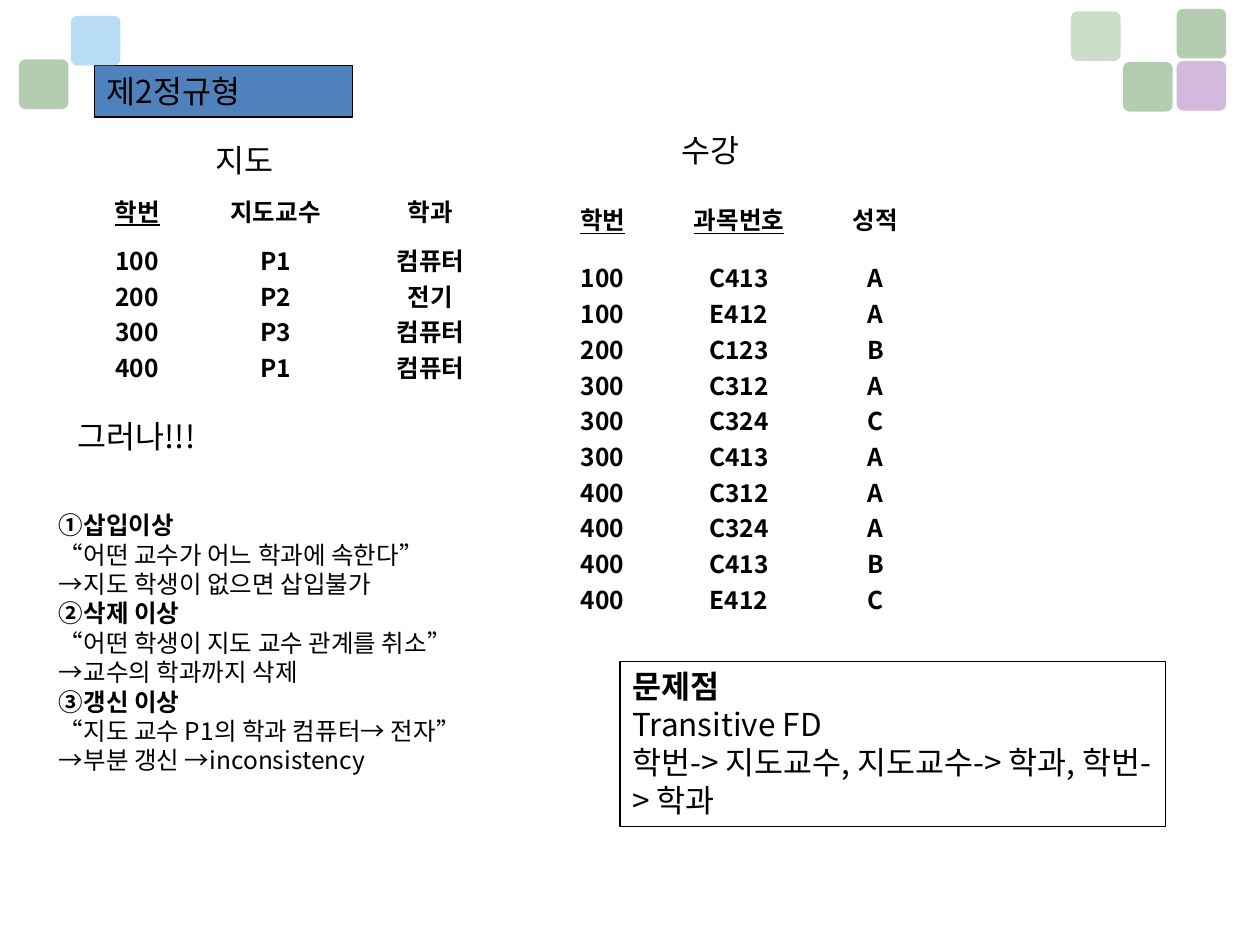
from lxml import etree
from pptx import Presentation
from pptx import util as u
from pptx.dml.color import RGBColor
from pptx.enum import shapes, text
from pptx.oxml import ns

BLACK = RGBColor(0x00, 0x00, 0x00)
BLUE = RGBColor(0x4F, 0x81, 0xBD)
SKY = RGBColor(0xA1, 0xD1, 0xF1)
GREEN = RGBColor(0x9B, 0xBD, 0x98)
PURPLE = RGBColor(0xC4, 0xA2, 0xD2)
KOREAN = "Noto Sans CJK KR"
LATIN = "Arial"
TILE_SIZE = u.Cm(1)

TILES = [
    (23.72, 1.23, PURPLE, 75),
    (23.72, 0.18, GREEN, 75),
    (22.64, 1.25, GREEN, 75),
    (21.59, 0.23, GREEN, 51),
    (1.43, 0.32, SKY, 75),
    (0.38, 1.2, GREEN, 75),
]
ADVISING = [
    ("학번", "100 200 300 400"),
    ("지도교수", "P1 P2 P3 P1"),
    ("학과", "컴퓨터 전기 컴퓨터 컴퓨터"),
]
ENROLMENT = [
    ("학번", "100 100 200 300 300 300 400 400 400 400"),
    ("과목번호", "C413 E412 C123 C312 C324 C413 C312 C324 C413 E412"),
    ("성적", "A A B A C A A A B C"),
]
ANOMALIES = [
    ("①삽입이상", "어떤 교수가 어느 학과에 속한다", "→지도 학생이 없으면 삽입불가"),
    ("②삭제 이상", "어떤 학생이 지도 교수 관계를 취소", "→교수의 학과까지 삭제"),
    ("③갱신 이상", "지도 교수 P1의 학과 컴퓨터→ 전자", "→부분 갱신 →inconsistency"),
]
PROBLEM = ["문제점", "Transitive FD", "학번-> 지도교수, 지도교수-> 학과, 학번-> 학과"]


def set_typeface(font_properties):
    """Use the Korean typeface for East Asian characters."""
    etree.SubElement(font_properties, ns.qn("a:ea"), typeface=KOREAN)


def format_paragraph(paragraph, size, bold=False, underline=False):
    """Apply the common font to a whole paragraph."""
    font = paragraph.font
    font.size, font.bold, font.underline = u.Pt(size), bold, underline
    font.color.rgb = BLACK
    font.name = KOREAN
    set_typeface(paragraph._p.pPr.find(ns.qn("a:defRPr")))


def add_paragraphs(frame, lines, size, bold_lines=(), underline=False):
    """Write lines as paragraphs; a tuple becomes several runs."""
    for index, line in enumerate(lines):
        paragraph = frame.paragraphs[0] if index == 0 else frame.add_paragraph()
        format_paragraph(paragraph, size, index in bold_lines, underline)
        for part in line if isinstance(line, tuple) else (line,):
            run = paragraph.add_run()
            run.text = part
            if part in "“”":
                run.font.name = LATIN


def add_tile(slide, left, top, color, opacity):
    """Add a translucent rounded square."""
    tile = slide.shapes.add_shape(
        shapes.MSO_SHAPE.ROUNDED_RECTANGLE, u.Cm(left), u.Cm(top), TILE_SIZE, TILE_SIZE)
    tile.adjustments[0] = 0.13
    tile.shadow.inherit = False
    tile.fill.solid()
    tile.fill.fore_color.rgb = color
    tile.line.fill.background()
    solid_color = tile._element.spPr.find(".//" + ns.qn("a:srgbClr"))
    etree.SubElement(solid_color, ns.qn("a:alpha"), val=str(opacity * 1000))


def add_text(slide, left, top, width, height, lines, size, bold_lines=()):
    """Add a wrapping text box."""
    box = slide.shapes.add_textbox(u.Cm(left), u.Cm(top), u.Cm(width), u.Cm(height))
    box.text_frame.word_wrap = True
    add_paragraphs(box.text_frame, lines, size, bold_lines)


def outline(shape):
    """Give a shape a thin black outline."""
    shape.line.color.rgb = BLACK
    shape.line.width = u.Pt(0.75)


def add_title(slide):
    """Place and format the title placeholder."""
    title = slide.shapes.title
    title.left, title.top = u.Cm(1.9), u.Cm(1.32)
    title.width, title.height = u.Cm(5.2), u.Cm(1.04)
    title.fill.solid()
    title.fill.fore_color.rgb = BLUE
    outline(title)
    frame = title.text_frame
    frame.auto_size = text.MSO_AUTO_SIZE.NONE
    frame.vertical_anchor = text.MSO_ANCHOR.MIDDLE
    add_paragraphs(frame, ["제2정규형"], 18)
    frame.paragraphs[0].alignment = text.PP_ALIGN.LEFT


def add_problem_box(slide):
    """Add the outlined box that names the problem."""
    box = slide.shapes.add_shape(
        shapes.MSO_SHAPE.RECTANGLE, u.Cm(12.5), u.Cm(13.33), u.Cm(11), u.Cm(3.33))
    box.shadow.inherit = False
    box.fill.background()
    outline(box)
    frame = box.text_frame
    frame.word_wrap = True
    frame.vertical_anchor = text.MSO_ANCHOR.TOP
    add_paragraphs(frame, PROBLEM, 18, bold_lines=(0,))
    for paragraph in frame.paragraphs:
        paragraph.alignment = text.PP_ALIGN.LEFT


def add_relation(slide, left, columns, widths, heights, key_count):
    """Add a relation as a header row above one row of stacked values."""
    table = slide.shapes.add_table(
        2, len(columns), u.Cm(left), u.Cm(3.73), u.Cm(sum(widths)), u.Cm(sum(heights))).table
    table.first_row = table.horz_banding = False
    for row, height in zip(table.rows, heights):
        row.height = u.Cm(height)
    for index, (name, values) in enumerate(columns):
        table.columns[index].width = u.Cm(widths[index])
        for row, lines in enumerate(([name], values.split())):
            cell = table.cell(row, index)
            cell.fill.background()
            cell.vertical_anchor = text.MSO_ANCHOR.MIDDLE
            is_key = row == 0 and index < key_count
            add_paragraphs(cell.text_frame, lines, 14, range(len(lines)), is_key)
            for paragraph in cell.text_frame.paragraphs:
                paragraph.alignment = text.PP_ALIGN.CENTER
                paragraph._p.pPr.set("marL", str(u.Cm(0.95)))
                paragraph._p.pPr.set("indent", str(-u.Cm(0.95)))


def main():
    """Build the slide on the second normal form."""
    presentation = Presentation()
    presentation.slide_width, presentation.slide_height = u.Cm(25.4), u.Cm(19.05)
    slide = presentation.slides.add_slide(presentation.slide_layouts[5])
    for tile in TILES:
        add_tile(slide, *tile)
    add_relation(slide, 1.7, ADVISING, (2.13, 3.45, 2.8), (1.02, 2.36), 1)
    add_relation(slide, 11.1, ENROLMENT, (2.1, 3.4, 2.1), (1.37, 5.03), 2)
    add_title(slide)
    anomaly_lines = [
        line for name, case, effect in ANOMALIES for line in (name, ("“", case, "”"), effect)]
    add_text(slide, 0.94, 10.16, 9.8, 5.64, anomaly_lines, 14, range(0, 9, 3))
    add_problem_box(slide)
    add_text(slide, 4.09, 2.72, 4.4, 1.02, ["지도"], 18)
    add_text(slide, 13.49, 2.51, 4.2, 1.02, ["수강"], 18)
    add_text(slide, 1.32, 8.28, 5.4, 1.02, ["그러나!!!"], 18)
    presentation.save("out.pptx")


if __name__ == "__main__":
    main()
